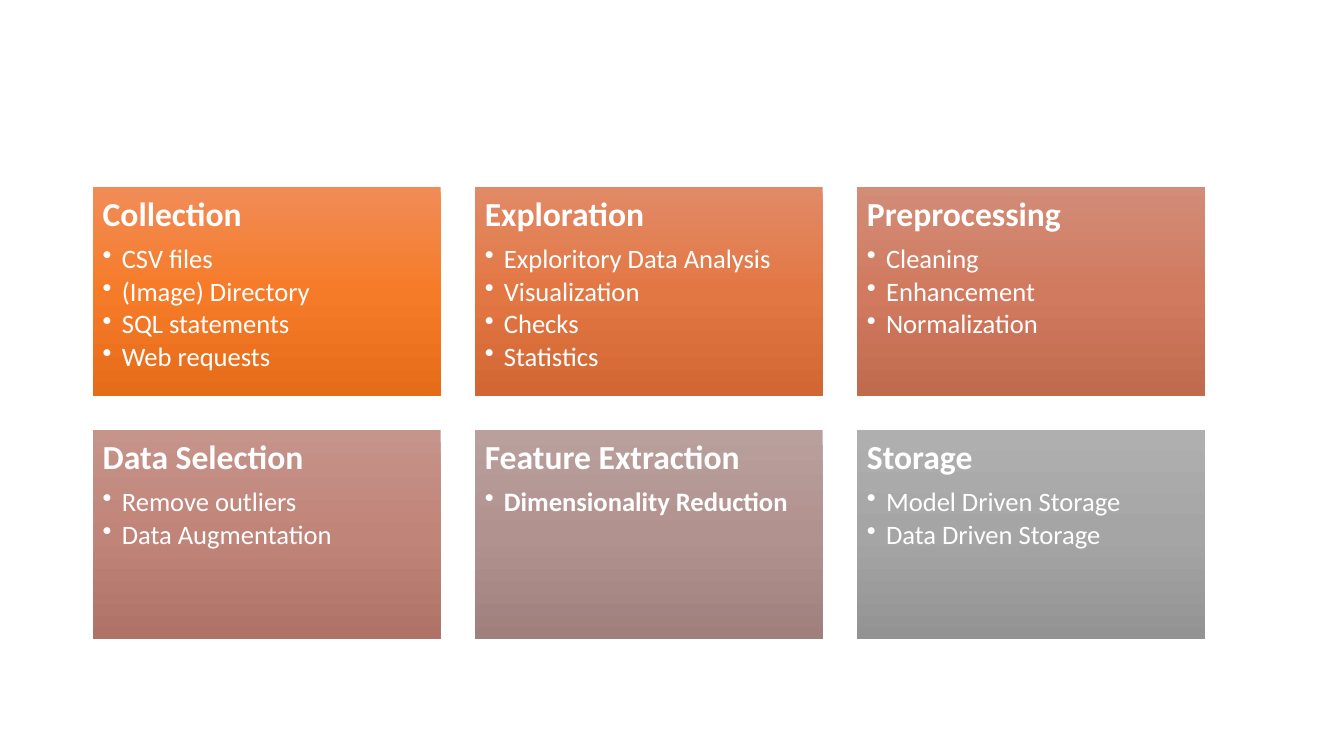
from lxml.etree import SubElement
from pptx import Presentation
from pptx.dml.color import RGBColor
from pptx.enum.shapes import MSO_SHAPE as Shape
from pptx.enum.text import MSO_ANCHOR as Anchor, PP_ALIGN as Align
from pptx.oxml.ns import qn
from pptx.util import Inches, Pt

# Content: title, bullets, bullets in bold
STEPS = [
    ("Collection", ["CSV files", "(Image) Directory", "SQL statements", "Web requests"], False),
    ("Exploration", ["Exploritory Data Analysis", "Visualization", "Checks", "Statistics"], False),
    ("Preprocessing", ["Cleaning", "Enhancement", "Normalization"], False),
    ("Data Selection", ["Remove outliers", "Data Augmentation"], False),
    ("Feature Extraction", ["Dimensionality Reduction"], True),
    ("Storage", ["Model Driven Storage", "Data Driven Storage"], False),
]

# Colours: each card fades through top, middle and bottom
COLOURS = {
    "text": "FFFFFF",
    "Collection": ("F18C57", "F67B28", "E56C19"),
    "Exploration": ("E18A66", "E37744", "D26734"),
    "Preprocessing": ("D28C78", "D17A5F", "C06A4E"),
    "Data Selection": ("C5948B", "C18478", "AF7267"),
    "Feature Extraction": ("B9A09D", "B2928F", "A0807D"),
    "Storage": ("AFAFAF", "A5A5A5", "939393"),
}

# Layout in inches, type in points
COLUMNS = 3
LEFT, TOP = 0.92, 1.86
CARD_WIDTH, CARD_HEIGHT, GAP = 3.45, 2.07, 0.34
MARGIN, BULLET_INDENT = 0.1, 0.19
FONT, TITLE_SIZE, BULLET_SIZE = "Calibri", 24, 19


def fill_gradient(shape, colours):
    shape.fill.gradient()
    shape.fill.gradient_angle = 270
    stops = shape._element.spPr.find(".//" + qn("a:gsLst"))
    stops.clear()
    for index, colour in enumerate(colours):
        stop = SubElement(stops, qn("a:gs"), pos=str(index * 50000))
        SubElement(stop, qn("a:srgbClr"), val=colour)


def write_line(paragraph, text, size, bold, space_share):
    paragraph.alignment = Align.LEFT
    paragraph.line_spacing = 0.9
    paragraph.space_after = Pt(size * space_share)
    run = paragraph.add_run()
    run.text = text
    run.font.name = FONT
    run.font.size = Pt(size)
    run.font.bold = bold
    run.font.color.rgb = RGBColor.from_string(COLOURS["text"])


def add_bullet(paragraph):
    paragraph.level = 1
    properties = paragraph._p.get_or_add_pPr()
    properties.set("marL", str(Inches(BULLET_INDENT)))
    properties.set("indent", str(-Inches(BULLET_INDENT)))
    SubElement(properties, qn("a:buChar"), char="•")


def add_card(slide, left, top, title, bullets, bold):
    card = slide.shapes.add_shape(Shape.RECTANGLE, Inches(left), Inches(top),
                                  Inches(CARD_WIDTH), Inches(CARD_HEIGHT))
    card.shadow.inherit = False
    card.line.fill.background()
    fill_gradient(card, COLOURS[title])

    frame = card.text_frame
    frame.word_wrap = True
    frame.vertical_anchor = Anchor.TOP
    frame.margin_left = frame.margin_right = Inches(MARGIN)
    frame.margin_top = frame.margin_bottom = Inches(MARGIN)
    write_line(frame.paragraphs[0], title, TITLE_SIZE, True, 0.35)
    for bullet in bullets:
        paragraph = frame.add_paragraph()
        write_line(paragraph, bullet, BULLET_SIZE, bold, 0.15)
        add_bullet(paragraph)


presentation = Presentation()
presentation.slide_width = Inches(13.33)
presentation.slide_height = Inches(7.5)
slide = presentation.slides.add_slide(presentation.slide_layouts[6])

# Grid of cards
for index, (title, bullets, bold) in enumerate(STEPS):
    row, column = divmod(index, COLUMNS)
    add_card(slide, LEFT + column * (CARD_WIDTH + GAP),
             TOP + row * (CARD_HEIGHT + GAP), title, bullets, bold)

presentation.save("out.pptx")
